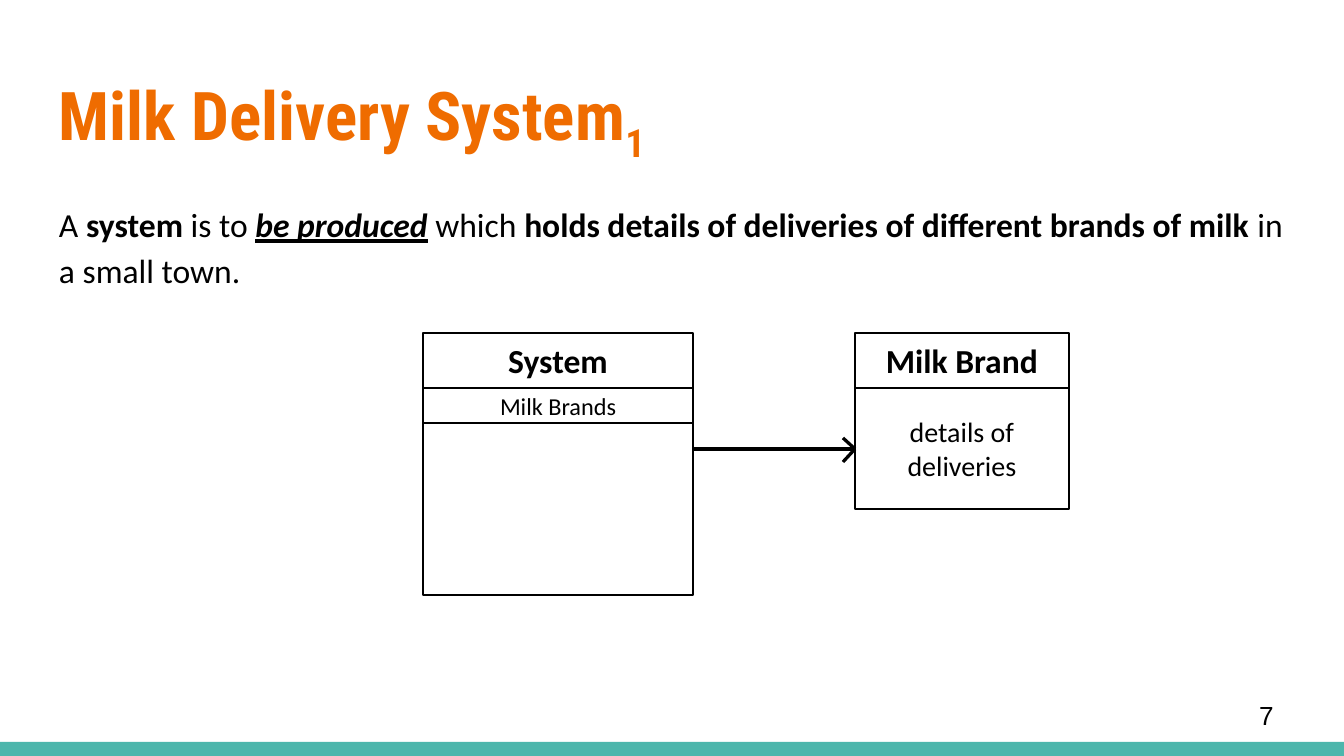
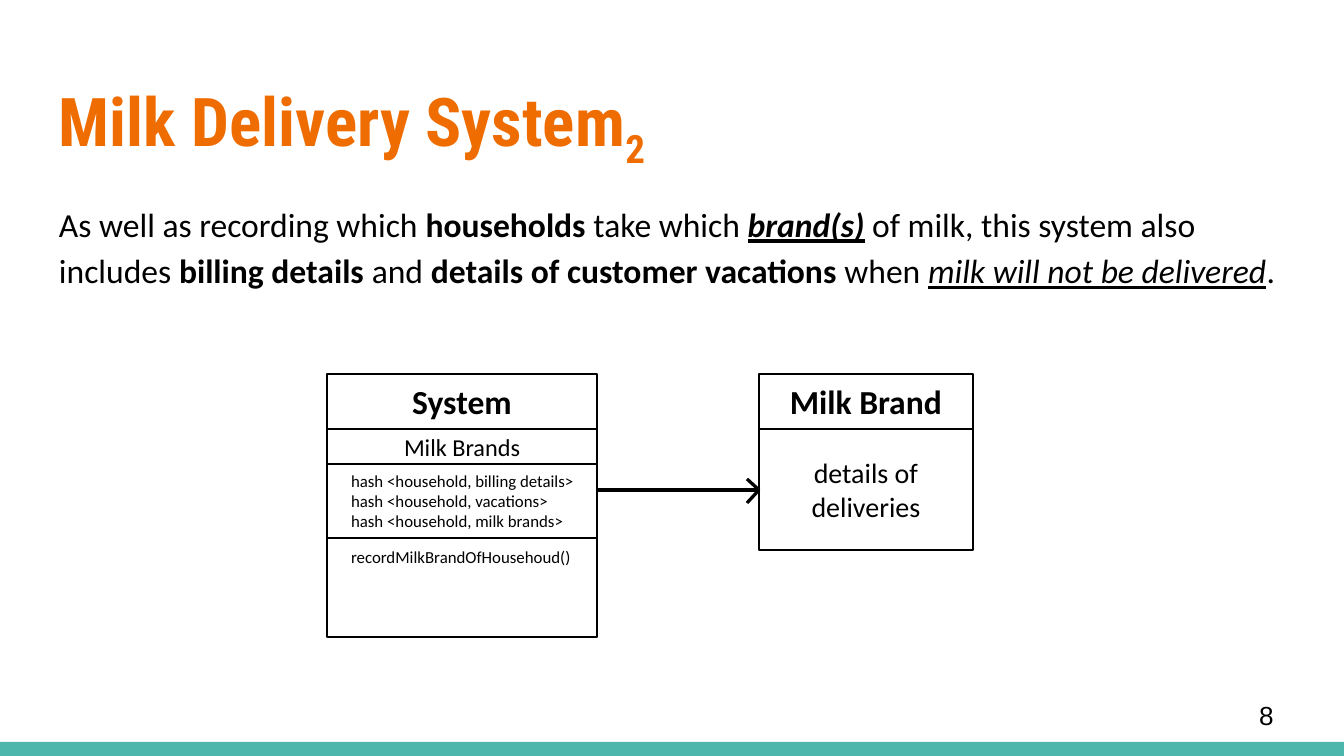
from lxml.etree import SubElement
from pptx import Presentation
from pptx.dml.color import RGBColor
from pptx.enum.shapes import MSO_CONNECTOR as Connector, MSO_SHAPE as Preset
from pptx.enum.text import MSO_ANCHOR as Anchor, PP_ALIGN as Align
from pptx.oxml.ns import qn
from pptx.util import Emu, Pt

SCALE = 914400 / 134.4
WIDTH, HEIGHT = 1344, 756

ORANGE = RGBColor(0xEF, 0x6C, 0x00)
TEAL = RGBColor(0x4D, 0xB6, 0xAC)
BLACK = RGBColor(0, 0, 0)
WHITE = RGBColor(0xFF, 0xFF, 0xFF)

# Run marks: b bold, i italic, u underlined, s subscript
SLIDES = [
    {
        "title": [("Milk Delivery System", "b"), ("1", "bs")],
        "title_top": 60,
        "body": [
            ("A ", ""), ("system", "b"), (" is to ", ""),
            ("be produced", "biu"), (" which ", ""),
            ("holds details of deliveries of different brands of milk ", "b"),
            ("in a small town.", ""),
        ],
        "diagram": (423, 333),
        "compartments": [],
        "number": "7",
    },
    {
        "title": [("Milk Delivery System", "b"), ("2", "bs")],
        "title_top": 66,
        "body": [
            ("As well as recording which ", ""), ("households", "b"),
            (" take which ", ""), ("brand(s)", "biu"),
            (" of milk, this system also includes ", ""),
            ("billing details", "b"), (" and ", ""),
            ("details of customer vacations", "b"), (" when ", ""),
            ("milk will not be delivered", "iu"), (".", ""),
        ],
        "diagram": (327, 374),
        "compartments": [
            (74, Anchor.MIDDLE, ["hash <household, billing details>",
                                 "hash <household, vacations>",
                                 "hash <household, milk brands>"]),
            (99, Anchor.TOP, ["recordMilkBrandOfHousehoud()"]),
        ],
        "number": "8",
    },
]

TITLE = {"size": Pt(36), "name": "Roboto Condensed", "color": ORANGE}
BODY = {"size": Pt(18), "name": "Calibri", "color": BLACK}
DETAIL = {**BODY, "size": Pt(15)}
ATTRIBUTE = {**BODY, "size": Pt(13)}
CODE = {**BODY, "size": Pt(9)}
NUMBER = {"size": Pt(14), "name": "Arial", "color": BLACK}

TEXT_LEFT, TEXT_WIDTH = 46, 1252
BAND_TOP = 742
SYSTEM_WIDTH, BRAND_WIDTH, BRAND_OFFSET = 270, 214, 432
HEADER_HEIGHT, ATTRIBUTE_HEIGHT = 55, 35
SYSTEM_HEIGHT, BRAND_HEIGHT = 207, 121
ARROW_DROP = 116
ARROW_BARBS = [(-12, -11), (-12, 13)]


def px(value):
    """Turn pixels into EMU."""
    return Emu(round(value * SCALE))


def write(shape, paragraphs, style, insets, anchor, **layout):
    """Fill a shape with paragraphs of (text, marks) runs."""
    frame = shape.text_frame
    frame.word_wrap = True
    frame.vertical_anchor = anchor
    for side, inset in zip(("left", "top", "right", "bottom"), insets):
        setattr(frame, f"margin_{side}", px(inset))
    for index, runs in enumerate(paragraphs):
        paragraph = frame.add_paragraph() if index else frame.paragraphs[0]
        for name, value in layout.items():
            setattr(paragraph, name, value)
        for text, marks in runs:
            run = paragraph.add_run()
            run.text = text
            font = {"size": style["size"], "name": style["name"],
                    "bold": "b" in marks, "italic": "i" in marks,
                    "underline": "u" in marks}
            for name, value in font.items():
                setattr(run.font, name, value)
            run.font.color.rgb = style["color"]
            if "s" in marks:
                run._r.get_or_add_rPr().set("baseline", "-25000")


def add_text(slide, box, runs, style, anchor=Anchor.TOP, **layout):
    """Add a text box holding one paragraph."""
    shape = slide.shapes.add_textbox(*map(px, box))
    write(shape, [runs], style, (13, 13, 13, 13), anchor, **layout)


def add_box(slide, box, fill=WHITE, line=BLACK):
    """Add a plain rectangle, outlined unless line is None."""
    shape = slide.shapes.add_shape(Preset.RECTANGLE, *map(px, box))
    shape.shadow.inherit = False
    shape.fill.solid()
    shape.fill.fore_color.rgb = fill
    if line is None:
        shape.line.fill.background()
    else:
        shape.line.color.rgb = line
        shape.line.width = Pt(1)
    return shape


def add_label(slide, box, text, style, marks=""):
    """Add an outlined rectangle with centred text."""
    write(add_box(slide, box), [[(text, marks)]], style, (13, 7, 13, 7),
          Anchor.MIDDLE, alignment=Align.CENTER)


def add_line(slide, start, end):
    """Add a straight black line."""
    line = slide.shapes.add_connector(Connector.STRAIGHT,
                                      *map(px, (*start, *end)))
    line.line.color.rgb = BLACK
    line.line.width = Pt(1.75)
    SubElement(line._element.spPr, qn("a:effectLst"))


def add_diagram(slide, left, top, compartments):
    """Draw the System class, the Milk Brand class and the arrow."""
    brand_left = left + BRAND_OFFSET
    row = top + HEADER_HEIGHT
    add_label(slide, (brand_left, top, BRAND_WIDTH, HEADER_HEIGHT),
              "Milk Brand", BODY, "b")
    add_label(slide, (brand_left, row, BRAND_WIDTH, BRAND_HEIGHT),
              "details of deliveries", DETAIL)
    add_label(slide, (left, top, SYSTEM_WIDTH, HEADER_HEIGHT),
              "System", BODY, "b")
    add_box(slide, (left, row, SYSTEM_WIDTH, SYSTEM_HEIGHT))

    tip = (brand_left, top + ARROW_DROP)
    add_line(slide, (left + SYSTEM_WIDTH, tip[1]), tip)
    for across, down in ARROW_BARBS:
        add_line(slide, tip, (tip[0] + across, tip[1] + down))

    add_label(slide, (left, row, SYSTEM_WIDTH, ATTRIBUTE_HEIGHT),
              "Milk Brands", ATTRIBUTE)
    row += ATTRIBUTE_HEIGHT
    for height, anchor, lines in compartments:
        shape = add_box(slide, (left, row, SYSTEM_WIDTH, height))
        write(shape, [[(line, "")] for line in lines], CODE, (24, 9, 13, 9),
              anchor, alignment=Align.LEFT)
        row += height


def add_slide(presentation, content):
    """Build one slide from its content."""
    slide = presentation.slides.add_slide(presentation.slide_layouts[6])
    add_box(slide, (0, BAND_TOP, WIDTH, HEIGHT - BAND_TOP), TEAL, None)
    add_text(slide, (TEXT_LEFT, content["title_top"], TEXT_WIDTH, 103),
             content["title"], TITLE)
    add_text(slide, (TEXT_LEFT, 185, TEXT_WIDTH, 485), content["body"], BODY,
             line_spacing=1.15, space_after=Pt(16))
    add_diagram(slide, *content["diagram"], content["compartments"])
    add_text(slide, (1246, 686, 81, 58), [(content["number"], "")], NUMBER,
             Anchor.MIDDLE)


presentation = Presentation()
presentation.slide_width, presentation.slide_height = px(WIDTH), px(HEIGHT)
for content in SLIDES:
    add_slide(presentation, content)
presentation.save("out.pptx")
